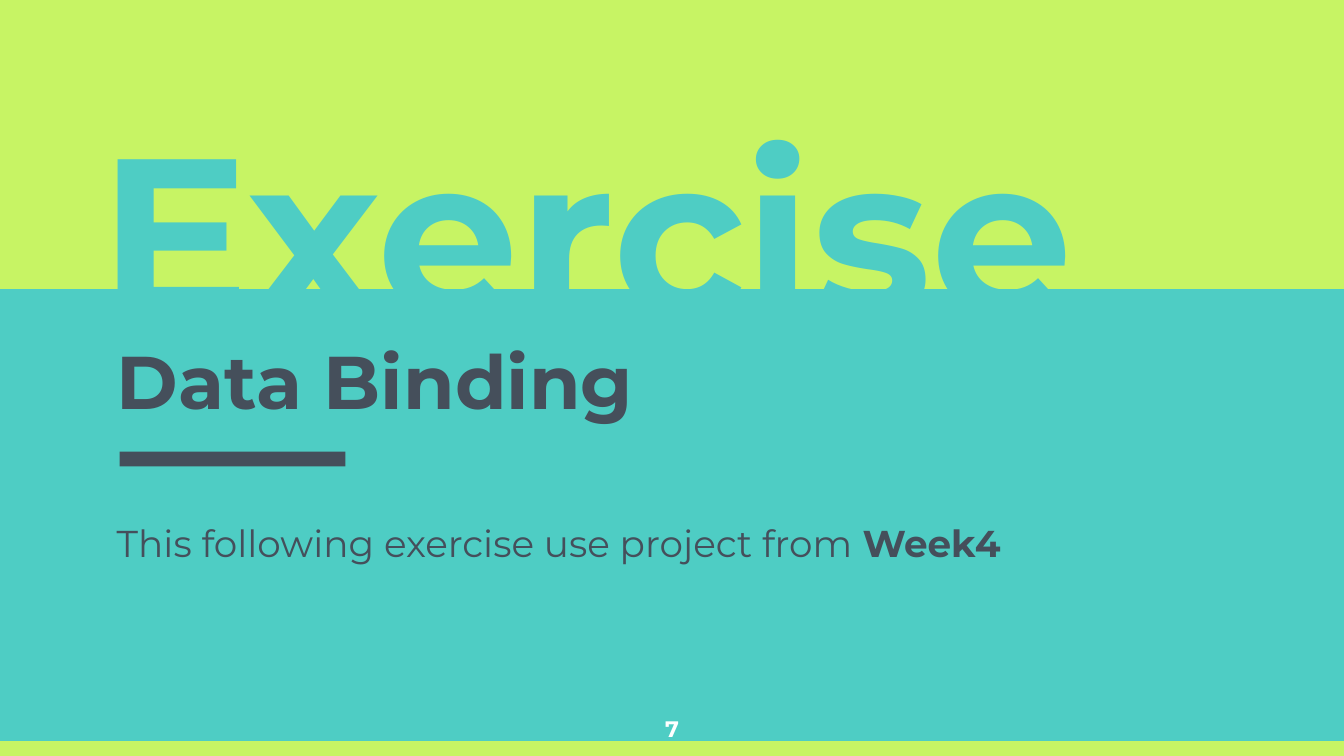
from pptx import Presentation
from pptx.dml.color import RGBColor
from pptx.enum.shapes import MSO_SHAPE as Shape
from pptx.enum.text import MSO_ANCHOR as Anchor, PP_ALIGN as Align
from pptx.util import Pt

PX = 4572
WIDTH, HEIGHT = 2000, 1125
LIME, TEAL, SLATE, WHITE = "C7F464", "4ECDC4", "454F5B", "FFFFFF"
INSET = 20 * PX

deck = Presentation()
deck.slide_width, deck.slide_height = WIDTH * PX, HEIGHT * PX
slide = deck.slides.add_slide(deck.slide_layouts[6])
color = RGBColor.from_string
slide.background.fill.solid()
slide.background.fill.fore_color.rgb = color(TEAL)


def add_bar(left, top, width, height, fill):
    bar = slide.shapes.add_shape(
        Shape.RECTANGLE, left * PX, top * PX, width * PX, height * PX)
    bar.fill.solid()
    bar.fill.fore_color.rgb = color(fill)
    bar.line.fill.background()
    bar.shadow.inherit = False


def add_text(left, top, width, height, text, size, ink, bold=None, anchor=Anchor.TOP):
    frame = slide.shapes.add_textbox(
        left * PX, top * PX, width * PX, height * PX).text_frame
    frame.word_wrap = True
    frame.vertical_anchor = anchor
    frame.margin_left = frame.margin_right = INSET
    frame.margin_top = frame.margin_bottom = INSET
    line = frame.paragraphs[0]
    line.add_run().text = text
    line.font.name = "Montserrat"
    line.font.size = Pt(size)
    line.font.bold = bold
    line.font.color.rgb = color(ink)
    return line


add_bar(0, HEIGHT - 22, WIDTH, 22, LIME)
add_bar(0, 0, WIDTH, 430, LIME)
add_text(128, 304, 1630, 254, "Exercise", 120, TEAL, True, Anchor.BOTTOM)
topic = add_text(154, 478, 1180, 138, "Data Binding", 40, SLATE, True)
topic.space_before = Pt(6)
instruction = add_text(
    154, 754, 1458, 310, "This following exercise use project from ", 20, SLATE)
week = instruction.add_run()
week.text = "Week4"
week.font.bold = True
add_bar(178, 672, 336, 22, SLATE)
page_number = add_text(940, 1044, 120, 68, "7", 12, WHITE, True)
page_number.alignment = Align.CENTER

deck.save("out.pptx")
